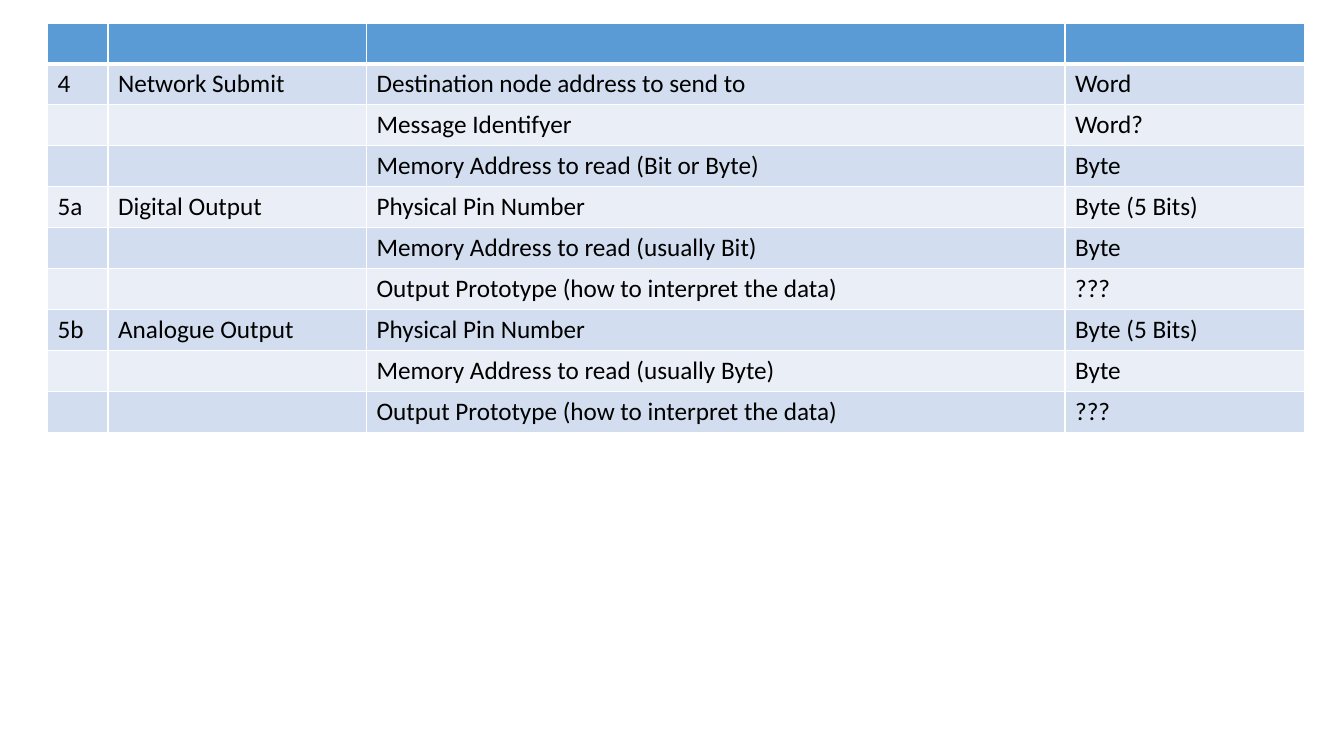
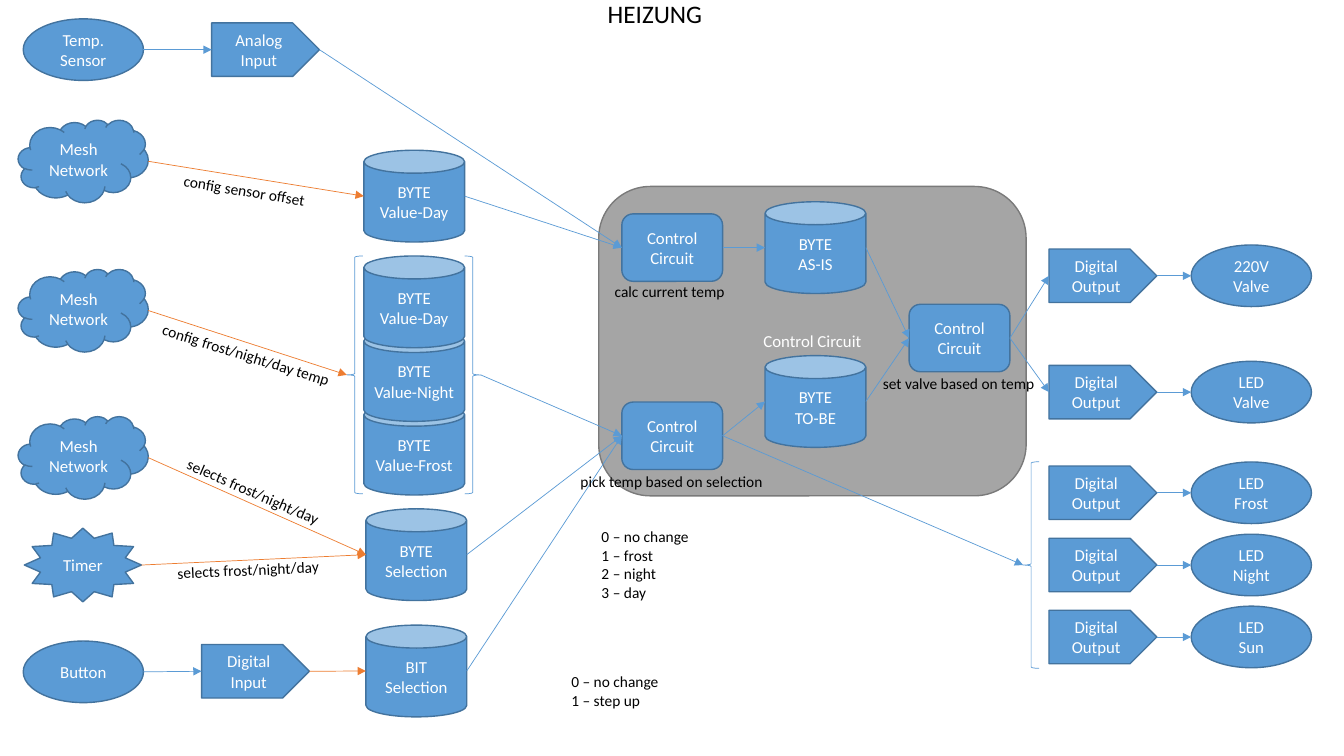
"""Build a table of node parameters and a heating control diagram."""
from dataclasses import dataclass
from typing import Optional

from lxml import etree
from pptx import Presentation
from pptx.dml.color import RGBColor
from pptx.enum.shapes import MSO_CONNECTOR, MSO_SHAPE
from pptx.enum.text import MSO_ANCHOR, MSO_AUTO_SIZE, PP_ALIGN
from pptx.oxml.ns import qn
from pptx.util import Pt

BLUE = RGBColor(0x5B, 0x9B, 0xD5)
NAVY = RGBColor(0x43, 0x73, 0x9E)
ORANGE = RGBColor(0xED, 0x7D, 0x31)
GREY = RGBColor(0xA5, 0xA5, 0xA5)
DARK_GREY = RGBColor(0x7A, 0x7A, 0x7A)
BAND_DARK = RGBColor(0xD2, 0xDE, 0xEF)
BAND_LIGHT = RGBColor(0xEA, 0xEF, 0xF7)
WHITE = RGBColor(0xFF, 0xFF, 0xFF)
BLACK = RGBColor(0, 0, 0)
FONT = "Calibri"

CAN = MSO_SHAPE.CAN
CLOUD = MSO_SHAPE.CLOUD
OVAL = MSO_SHAPE.OVAL
PLATE = MSO_SHAPE.PENTAGON
STAR = MSO_SHAPE.STAR_12_POINT
PROCESS = MSO_SHAPE.FLOWCHART_ALTERNATE_PROCESS
BRACE = MSO_SHAPE.LEFT_BRACE
STRAIGHT = MSO_CONNECTOR.STRAIGHT
CENTER = PP_ALIGN.CENTER
LEFT = PP_ALIGN.LEFT
MIDDLE = MSO_ANCHOR.MIDDLE
FIT = MSO_AUTO_SIZE.SHAPE_TO_FIT_TEXT


@dataclass(frozen=True)
class Kind:
    shape: int
    width: float
    height: float
    fill: Optional[RGBColor] = BLUE
    line: RGBColor = NAVY
    weight: float = 1
    rotation: float = 0


@dataclass(frozen=True)
class Node:
    name: str
    kind: str
    left: float
    mid: float
    text: str = ""


@dataclass(frozen=True)
class Link:
    start: str
    end: str
    color: RGBColor = BLUE


@dataclass(frozen=True)
class Label:
    left: float
    top: float
    width: float
    height: float
    text: str
    rotation: float = 0
    size: float = 11


KINDS = {
    "area": Kind(PROCESS, 305.3, 221, GREY, DARK_GREY),
    "can": Kind(CAN, 72, 65.5),
    "cloud": Kind(CLOUD, 92.9, 59),
    "oval": Kind(OVAL, 85.9, 44),
    "plate": Kind(PLATE, 77, 38.2),
    "star": Kind(STAR, 83.6, 52.6),
    "process": Kind(PROCESS, 72, 48.2),
    "open brace": Kind(BRACE, 11.5, 169.9, None, BLUE, 0.5),
    "close brace": Kind(BRACE, 11.5, 169.9, None, BLUE, 0.5, 180),
    "output brace": Kind(BRACE, 11.5, 147.6, None, BLUE, 0.5),
}

NODES = [
    Node("area", "area", 427.7, 243.7, "Control Circuit"),
    Node("frost", "can", 259.9, 320.8, "BYTE\nValue-Frost"),
    Node("night", "can", 259.9, 268.2, "BYTE\nValue-Night"),
    Node("day", "can", 259.9, 215.6, "BYTE\nValue-Day"),
    Node("values in", "open brace", 247.7, 267.8),
    Node("values out", "close brace", 331.9, 267.8),
    Node("temp sensor", "oval", 16.6, 35.5, "Temp. Sensor"),
    Node("analog input", "plate", 151.2, 35.5, "Analog Input"),
    Node("offset mesh", "cloud", 13, 115.2, "Mesh\nNetwork"),
    Node("temp mesh", "cloud", 13, 221.8, "Mesh\nNetwork"),
    Node("selection mesh", "cloud", 13, 326.9, "Mesh\nNetwork"),
    Node("timer", "star", 17.4, 403.6, "Timer"),
    Node("button", "oval", 16.6, 479.9, "Button"),
    Node("digital input", "plate", 144, 479.5, "Digital Input"),
    Node("offset", "can", 259.9, 140.1, "BYTE\nValue-Day"),
    Node("selection", "can", 261.4, 396.2, "BYTE\nSelection"),
    Node("step", "can", 261.4, 479.3, "BIT\nSelection"),
    Node("calc", "process", 444.2, 176.9, "Control Circuit"),
    Node("pick", "process", 444.2, 311.3, "Control Circuit"),
    Node("valve control", "process", 649.4, 241.5, "Control Circuit"),
    Node("as-is", "can", 546.5, 176.9, "BYTE\nAS-IS"),
    Node("to-be", "can", 546.5, 286.8, "BYTE\nTO-BE"),
    Node("status", "output brace", 730.8, 403.6),
]

OUTPUTS = {
    "220V\nValve": 197,
    "LED\nValve": 280.1,
    "LED\nFrost": 352,
    "LED\nNight": 403.6,
    "LED\nSun": 455,
}
OUTPUT_LEFT, DEVICE_LEFT = 749.3, 850.9

LINKS = [
    Link("temp sensor", "analog input"),
    Link("temp mesh", "values in", ORANGE),
    Link("timer", "selection", ORANGE),
    Link("button", "digital input"),
    Link("digital input", "step", ORANGE),
    Link("selection mesh", "selection", ORANGE),
    Link("selection", "pick"),
    Link("values out", "pick"),
    Link("pick", "to-be"),
    Link("analog input", "calc"),
    Link("to-be", "valve control"),
    Link("pick", "status"),
    Link("offset mesh", "offset", ORANGE),
    Link("offset", "calc"),
    Link("calc", "as-is"),
    Link("as-is", "valve control"),
    Link("step", "pick"),
    Link("valve control", "220V\nValve output"),
    Link("valve control", "LED\nValve output"),
]

LABELS = [
    Label(427, -5, 82.8, 29, "HEIZUNG", size=18),
    Label(119.5, 396.7, 116.6, 20.9, "selects frost/night/day", 357.3),
    Label(123.1, 341.3, 116.6, 20.9, "selects frost/night/day", 23.6),
    Label(106.6, 243.4, 139.7, 20.9, "config frost/night/day temp", 17.2),
    Label(123.8, 126, 103, 20.9, "config sensor offset", 9.3),
    Label(407.5, 333.4, 145.4, 20.9, "pick temp based on selection"),
    Label(623.5, 263.5, 123.8, 20.9, "set valve based on temp"),
    Label(432, 198, 96.5, 20.9, "calc current temp"),
    Label(422.6, 373, 77, 60.5,
          "0 – no change\n1 – frost\n2 – night\n3 – day"),
    Label(401, 476.6, 77, 33.8, "0 – no change\n1 – step up"),
]

COLUMNS = [43.2, 184.6, 499, 171]
ROW_HEIGHT = 29.23
ROWS = [
    ("", "", "", ""),
    ("4", "Network Submit", "Destination node address to send to", "Word"),
    ("", "", "Message Identifyer", "Word?"),
    ("", "", "Memory Address to read (Bit or Byte)", "Byte"),
    ("5a", "Digital Output", "Physical Pin Number", "Byte (5 Bits)"),
    ("", "", "Memory Address to read (usually Bit)", "Byte"),
    ("", "", "Output Prototype (how to interpret the data)", "???"),
    ("5b", "Analogue Output", "Physical Pin Number", "Byte (5 Bits)"),
    ("", "", "Memory Address to read (usually Byte)", "Byte"),
    ("", "", "Output Prototype (how to interpret the data)", "???"),
]


def write(tf, text: str, size: float, color: RGBColor, align: int) -> None:
    """Write each line of the text as a formatted paragraph."""
    form = {"name": FONT, "size": Pt(size)}
    for i, line in enumerate(text.split("\n")):
        p = tf.add_paragraph() if i else tf.paragraphs[0]
        p.alignment = align
        r = p.add_run()
        r.text = line
        for key, value in form.items():
            setattr(r.font, key, value)
        r.font.color.rgb = color


def add_border(cell, side: str, width: float) -> None:
    """Draw one white cell border."""
    tc_pr = cell._tc.get_or_add_tcPr()
    ln = etree.SubElement(tc_pr, qn(f"a:ln{side}"), w=str(Pt(width)))
    fill = etree.SubElement(ln, qn("a:solidFill"))
    etree.SubElement(fill, qn("a:srgbClr"), val=str(WHITE))


def add_parameters(slide) -> None:
    """Draw the banded parameter table."""
    table = slide.shapes.add_table(
        len(ROWS), len(COLUMNS), Pt(34), Pt(16.4),
        Pt(sum(COLUMNS)), Pt(ROW_HEIGHT * len(ROWS))).table
    for column, width in zip(table.columns, COLUMNS):
        column.width = Pt(width)
    for i, texts in enumerate(ROWS):
        table.rows[i].height = Pt(ROW_HEIGHT)
        band = BAND_DARK if i % 2 else BAND_LIGHT
        widths = {"L": 1, "R": 1, "T": 3 if i == 1 else 1,
                  "B": 1 if i else 3}
        for j, text in enumerate(texts):
            cell = table.cell(i, j)
            for side, width in widths.items():
                add_border(cell, side, width)
            cell.fill.solid()
            cell.fill.fore_color.rgb = band if i else BLUE
            if text:
                write(cell.text_frame, text, 18, BLACK, LEFT)


def add_node(slide, node: Node) -> None:
    """Draw one node centred on its middle height."""
    kind = KINDS[node.kind]
    sp = slide.shapes.add_shape(
        kind.shape, Pt(node.left), Pt(node.mid - kind.height / 2),
        Pt(kind.width), Pt(kind.height))
    sp.rotation = kind.rotation
    sp.shadow.inherit = False
    if kind.fill is None:
        sp.fill.background()
    else:
        sp.fill.solid()
        sp.fill.fore_color.rgb = kind.fill
    sp.line.color.rgb = kind.line
    sp.line.width = Pt(kind.weight)
    if node.text:
        sp.text_frame.vertical_anchor = MIDDLE
        write(sp.text_frame, node.text, 12, WHITE, CENTER)


def add_link(slide, start: Node, end: Node, color: RGBColor) -> None:
    """Draw an arrow from the right of one node to the left of another."""
    right = start.left + KINDS[start.kind].width
    c = slide.shapes.add_connector(
        STRAIGHT, Pt(right), Pt(start.mid), Pt(end.left), Pt(end.mid))
    c.line.color.rgb = color
    c.line.width = Pt(0.5)
    sp_pr = c.element.spPr
    etree.SubElement(sp_pr.find(qn("a:ln")), qn("a:tailEnd"), type="triangle")
    etree.SubElement(sp_pr, qn("a:effectLst"))


def add_label(slide, label: Label) -> None:
    """Draw one unwrapped caption."""
    sp = slide.shapes.add_textbox(
        Pt(label.left), Pt(label.top), Pt(label.width), Pt(label.height))
    sp.rotation = label.rotation
    tf = sp.text_frame
    for key, value in {"word_wrap": False, "auto_size": FIT}.items():
        setattr(tf, key, value)
    write(tf, label.text, label.size, BLACK, LEFT)


def add_diagram(slide) -> None:
    """Draw the nodes, arrows and captions of the heating diagram."""
    nodes, links = list(NODES), list(LINKS)
    for device, mid in OUTPUTS.items():
        output = f"{device} output"
        nodes += [Node(output, "plate", OUTPUT_LEFT, mid, "Digital Output"),
                  Node(device, "oval", DEVICE_LEFT, mid, device)]
        links.append(Link(output, device))
    by_name = {node.name: node for node in nodes}
    for node in nodes:
        add_node(slide, node)
    for link in links:
        add_link(slide, by_name[link.start], by_name[link.end], link.color)
    for label in LABELS:
        add_label(slide, label)


def main() -> None:
    """Build and save the presentation."""
    prs = Presentation()
    prs.slide_width, prs.slide_height = Pt(960), Pt(540)
    for draw in (add_parameters, add_diagram):
        draw(prs.slides.add_slide(prs.slide_layouts[6]))
    prs.save("out.pptx")


main()
